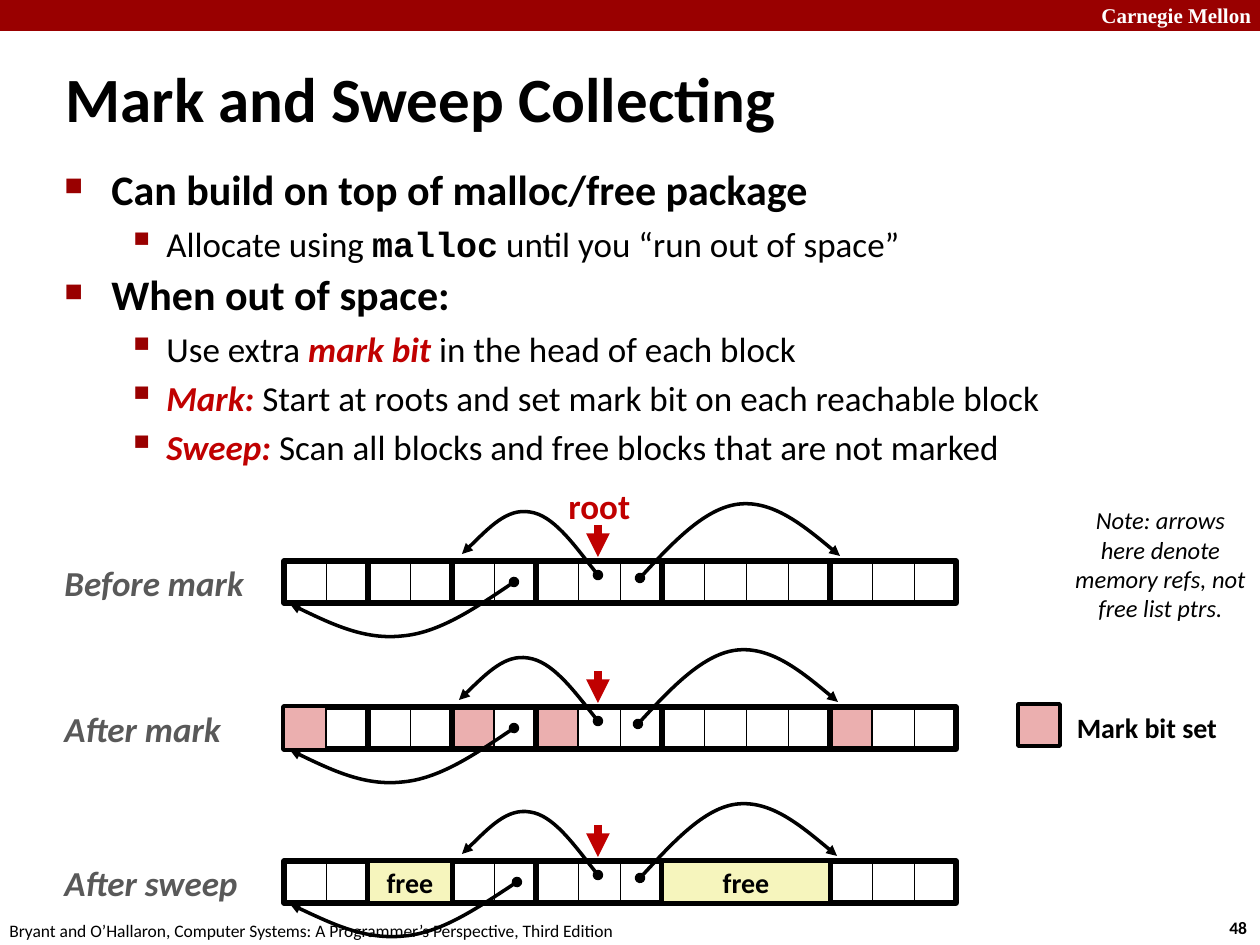
from lxml import etree
from pptx import Presentation
from pptx.dml.color import RGBColor
from pptx.enum import shapes, text
from pptx.oxml.ns import qn
from pptx import util as u

PX = 914400 / 126
COLORS = {
    "black": "000000", "white": "FFFFFF", "banner": "990000", "accent": "C00000",
    "gray": "595959", "marked": "EBAFAF", "free": "F6F5BD",
}
CENTER = text.PP_ALIGN.CENTER

deck = Presentation()
deck.slide_width, deck.slide_height = u.Emu(round(1260 * PX)), u.Emu(round(945 * PX))
page = deck.slides.add_slide(deck.slide_layouts[5])


def add_box(left, top, width, height, words="", size=16, color="black", bold=False,
            italic=False, font="Calibri", align=text.PP_ALIGN.LEFT, wrap=False,
            fill=None, outline=0):
    """Add a rectangle when a fill or outline is given, otherwise a text box."""
    frame = [round(length * PX) for length in (left, top, width, height)]
    if fill or outline:
        box = page.shapes.add_shape(shapes.MSO_SHAPE.RECTANGLE, *frame)
        box.shadow.inherit = False
        if fill:
            box.fill.solid()
            box.fill.fore_color.rgb = RGBColor.from_string(COLORS[fill])
        else:
            box.fill.background()
        if outline:
            box.line.width = u.Pt(outline)
            box.line.color.rgb = RGBColor.from_string(COLORS["black"])
        else:
            box.line.fill.background()
    else:
        box = page.shapes.add_textbox(*frame)
    if words:
        box.text_frame.word_wrap = wrap
        para = box.text_frame.paragraphs[0]
        para.text, para.alignment = words, align
        para.font.name, para.font.size = font, u.Pt(size)
        para.font.bold, para.font.italic = bold, italic
        para.font.color.rgb = RGBColor.from_string(COLORS[color])


def stroke(line, weight, color="black", head=None, tail=None):
    """Style a connector or curve, with optional ends and no shadow."""
    line.line.width = u.Pt(weight)
    line.line.color.rgb = RGBColor.from_string(COLORS[color])
    properties = line._element.spPr
    for tag, kind in (("a:headEnd", head), ("a:tailEnd", tail)):
        if kind:
            etree.SubElement(properties.find(qn("a:ln")), qn(tag), type=kind)
    etree.SubElement(properties, qn("a:effectLst"))


# Banner and footer
add_box(0, 0, 1260, 31, fill="banner")
add_box(1089, -4, 180, 38, "Carnegie Mellon", 12, "white", True,
        font="Times New Roman", wrap=True)
add_box(1217, 911, 47, 34, "48", 10, bold=True)
add_box(-3, 914, 640, 34, "Bryant and O’Hallaron, Computer Systems: "
        "A Programmer’s Perspective, Third Edition", 10)

# Title
title = page.shapes.title
title.left, title.top, title.width, title.height = [
    round(length * PX) for length in (53, 63, 985, 79)]
title.text_frame.auto_size = text.MSO_AUTO_SIZE.NONE
title.text_frame.vertical_anchor = text.MSO_ANCHOR.MIDDLE
para = title.text_frame.paragraphs[0]
para.text = "Mark and Sweep Collecting"
para.alignment, para.line_spacing = text.PP_ALIGN.LEFT, 0.87
para.font.name, para.font.size, para.font.bold = "Calibri", u.Pt(36), True
para.font.color.rgb = RGBColor.from_string(COLORS["black"])

# Bullets: level, then spans of (words, style)
BULLETS = [
    (0, [("Can build on top of malloc/free package", "")]),
    (1, [("Allocate using ", ""), ("malloc", "code"), (" until you “run out of space”", "")]),
    (0, [("When out of space:", "")]),
    (1, [("Use extra ", ""), ("mark bit ", "term"), ("in the head of each block", "")]),
    (1, [("Mark: ", "term"), ("Start at roots and set mark bit on each reachable block", "")]),
    (1, [("Sweep: ", "term"), ("Scan all blocks and free blocks that are not marked", "")]),
]
# size, line spacing, margin, hanging indent, bullet, bullet size
LEVELS = [(24, 0.95, 47, 47, "■", 60), (20, 1.0, 102, 39, "▪", 110)]
body = page.shapes.add_textbox(*[round(length * PX) for length in (52, 161, 1145, 331)])
body.text_frame.word_wrap = True
for index, (level, spans) in enumerate(BULLETS):
    size, spacing, margin, hang, mark, mark_size = LEVELS[level]
    para = body.text_frame.paragraphs[0] if index == 0 else body.text_frame.add_paragraph()
    para.level, para.line_spacing = level, spacing
    para.space_before = u.Pt(size * 0.2 if index else 0)
    layout = para._p.get_or_add_pPr()
    layout.set("marL", str(round(margin * PX)))
    layout.set("indent", str(round(-hang * PX)))
    bullet_color = etree.SubElement(layout, qn("a:buClr"))
    etree.SubElement(bullet_color, qn("a:srgbClr"), val=COLORS["banner"])
    etree.SubElement(layout, qn("a:buSzPct"), val=str(mark_size * 1000))
    etree.SubElement(layout, qn("a:buChar"), char=mark)
    para.font.size, para.font.bold = u.Pt(size), level == 0
    for words, style in spans:
        span = para.add_run()
        span.text = words
        span.font.name = "Courier New" if style == "code" else "Calibri"
        span.font.size = u.Pt(size)
        span.font.bold = level == 0 or style != ""
        span.font.italic = style == "term"
        span.font.color.rgb = RGBColor.from_string(
            COLORS["accent" if style == "term" else "black"])

# Heap rows
CELL, HEAP_LEFT, ROOT_X = 42, 284, 598
BLOCKS = [(0, 2), (2, 2), (4, 2), (6, 3), (9, 4), (13, 3)]  # first cell, cell count
# Curve heights relative to the row top; points are evenly spaced across
LEFT_ARC = (14, -15, -46, -49, -53, -29, -7)
RIGHT_ARC = (17, -19, -54, -57, -60, -33, -5)
LOWER_ARC = (21, 46, 72, 75, 79, 61, 43)
# label, label width, row top, marked blocks, freed blocks, x ends of the three arcs
ROWS = [
    ("Before mark", 207, 561, (), (), ((598, 462), (640, 840), (514, 290))),
    ("After mark", 184, 707, (13, 6, 4, 0), (), ((598, 459), (638, 838), (514, 290))),
    ("After sweep", 203, 861, (), (9, 2), ((598, 462), (640, 837), (517, 290))),
]
for label, label_width, top, marked, freed, ends in ROWS:
    for cell in marked:
        if cell:
            add_box(HEAP_LEFT + cell * CELL, top, CELL, CELL, fill="marked", outline=0.75)

    for (start, end), heights in zip(ends, (LEFT_ARC, RIGHT_ARC, LOWER_ARC)):
        points = [(start + (end - start) * step / 6, top + height)
                  for step, height in enumerate(heights)]
        builder = page.shapes.build_freeform(*points[0], scale=PX)
        builder.add_line_segments(points[1:], close=False)
        arc = builder.convert_to_shape()
        arc.fill.background()
        outline = arc._element.find(".//" + qn("a:path"))
        segments = outline.findall(qn("a:lnTo"))
        for first in (0, 3):  # each three points make one Bézier segment
            bezier = etree.SubElement(outline, qn("a:cubicBezTo"))
            for segment in segments[first:first + 3]:
                bezier.append(segment[0])
                outline.remove(segment)
        stroke(arc, 2, head="oval", tail="triangle")

    add_box(52, top - 6, label_width, 55, label, 20, "gray", True, True)
    pointer = page.shapes.add_connector(
        shapes.MSO_CONNECTOR.STRAIGHT,
        *[round(length * PX) for length in (ROOT_X, top - 36, ROOT_X, top - 4)])
    stroke(pointer, 4.5, "accent", tail="triangle")

    for first, count in BLOCKS:
        add_box(HEAP_LEFT + first * CELL, top, count * CELL, CELL, outline=3)
    for first, count in BLOCKS:
        for cell in range(first + 1, first + count):
            x = HEAP_LEFT + cell * CELL
            divider = page.shapes.add_connector(
                shapes.MSO_CONNECTOR.STRAIGHT,
                *[round(length * PX) for length in (x, top, x, top + CELL)])
            stroke(divider, 1 if cell - 1 in marked else 0.5)
    for first, count in BLOCKS:
        if first in freed:
            add_box(HEAP_LEFT + first * CELL, top, count * CELL, CELL, "free",
                    bold=True, align=CENTER, fill="free", outline=2)
    if 0 in marked:
        add_box(HEAP_LEFT, top, CELL, CELL, fill="marked", outline=0.75)

# Root label, legend and note
add_box(556, 478, 87, 55, "root", 20, "accent", True)
add_box(1018, 704, CELL, CELL, fill="marked", outline=2)
add_box(1064, 704, 166, 47, "Mark bit set", bold=True, align=CENTER)
add_box(1061, 499, 199, 131, "Note: arrows here denote memory refs, not free list ptrs.",
        14, italic=True, align=CENTER, wrap=True)

deck.save("out.pptx")
